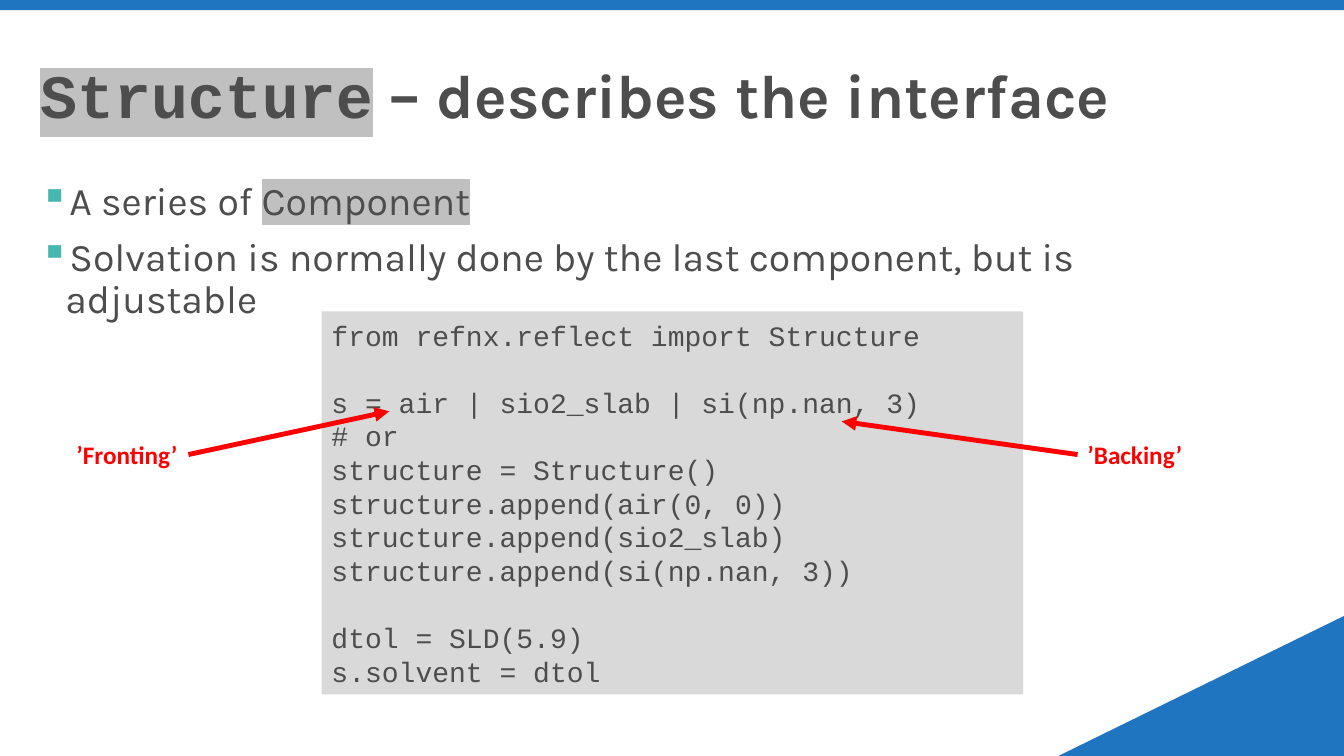
from dataclasses import dataclass

from lxml.etree import SubElement
from pptx import Presentation
from pptx.dml.color import RGBColor
from pptx.enum.shapes import MSO_CONNECTOR, MSO_SHAPE
from pptx.enum.text import MSO_ANCHOR, PP_ALIGN
from pptx.oxml.ns import qn
from pptx.util import Pt

COLORS = {
    "blue": "1F75C0",
    "teal": "47B7B1",
    "text": "4C4D4C",
    "mark": "C0C0C0",
    "code": "D9D9D9",
    "red": "FF0000",
}
SANS, MONO, LABEL = "Karla", "Courier New", "Calibri"
LINE = 24
CODE = """from refnx.reflect import Structure

s = air | sio2_slab | si(np.nan, 3)
# or
structure = Structure()
structure.append(air(0, 0))
structure.append(sio2_slab)
structure.append(si(np.nan, 3))

dtol = SLD(5.9)
s.solvent = dtol"""


@dataclass
class Box:
    left: float
    top: float
    width: float
    height: float

    def lengths(self) -> tuple:
        return Pt(self.left), Pt(self.top), Pt(self.width), Pt(self.height)


@dataclass
class Part:
    text: str
    font: str = ""
    marked: bool = False


@dataclass
class Note:
    text: str
    box: Box
    side: int
    tip: tuple[float, float]


NOTES = [
    Note("’Fronting’", Box(47.5, 310.3, 87.1, 28.8), 3, (278, 293.8)),
    Note("’Backing’", Box(769.7, 310.3, 82.8, 28.8), 1, (601.2, 301)),
]
POINTS = [
    [Part("A series of "), Part("Component", marked=True)],
    [Part("Solvation is normally done by the last component, but is adjustable")],
]


def color(name: str) -> RGBColor:
    return RGBColor.from_string(COLORS[name])


def style(para, size: float, tint: str, font: str = "", bold: bool = False) -> None:
    para.font.size = Pt(size)
    para.font.color.rgb = color(tint)
    para.font.bold = bold
    if font:
        para.font.name = font


def add_parts(para, parts: list[Part]) -> None:
    for part in parts:
        run = para.add_run()
        run.text = part.text
        if part.marked:
            mark = SubElement(run.font._element, qn("a:highlight"))
            SubElement(mark, qn("a:srgbClr"), val=COLORS["mark"])
        if part.font:
            run.font.name = part.font


def add_bullet(para) -> None:
    props = para._p.get_or_add_pPr()
    props.set("marL", str(Pt(18)))
    props.set("indent", str(-Pt(18)))
    tint = SubElement(props, qn("a:buClr"))
    SubElement(tint, qn("a:srgbClr"), val=COLORS["teal"])
    SubElement(props, qn("a:buChar"), char="▪")


def next_para(frame, first: bool):
    return frame.paragraphs[0] if first else frame.add_paragraph()


def add_shape(slide, kind: MSO_SHAPE, box: Box, fill: str):
    shape = slide.shapes.add_shape(kind, *box.lengths())
    shape.shadow.inherit = False
    shape.fill.solid()
    shape.fill.fore_color.rgb = color(fill)
    shape.line.fill.background()
    return shape


def add_title(slide) -> None:
    frame = slide.shapes.add_textbox(*Box(21.6, 8, 890, 90).lengths()).text_frame
    frame.word_wrap = True
    frame.vertical_anchor = MSO_ANCHOR.BOTTOM
    para = frame.paragraphs[0]
    para.line_spacing = 0.9
    add_parts(para, [Part("Structure", MONO, True),
                     Part(" – describes the interface", SANS)])
    style(para, 44, "text", bold=True)


def add_points(slide) -> None:
    frame = slide.shapes.add_textbox(*Box(21.6, 126, 890, 356.4).lengths()).text_frame
    frame.word_wrap = True
    for i, parts in enumerate(POINTS):
        para = next_para(frame, i == 0)
        add_bullet(para)
        para.line_spacing = 0.9
        if i:
            para.space_before = Pt(10)
        add_parts(para, parts)
        style(para, 28, "text", SANS)


def add_code(slide) -> None:
    """Draw the listing; an empty line becomes space before the next one."""
    box = Box(229.7, 222.5, 501.1, 273.6)
    frame = add_shape(slide, MSO_SHAPE.RECTANGLE, box, "code").text_frame
    frame.word_wrap = True
    frame.vertical_anchor = MSO_ANCHOR.MIDDLE
    first, gap = True, 0
    for line in CODE.splitlines():
        if not line:
            gap += LINE
            continue
        para = next_para(frame, first)
        para.text = line
        para.alignment = PP_ALIGN.LEFT
        para.line_spacing = Pt(LINE)
        if gap:
            para.space_before = Pt(gap)
        style(para, 20, "text", MONO)
        first, gap = False, 0


def add_note(slide, note: Note) -> None:
    """Draw a label and the arrow from its side to the code."""
    label = slide.shapes.add_textbox(*note.box.lengths())
    label.text_frame.word_wrap = False
    para = label.text_frame.paragraphs[0]
    para.text = note.text
    style(para, 18, "red", LABEL, True)

    x, y = map(Pt, note.tip)
    arrow = slide.shapes.add_connector(MSO_CONNECTOR.STRAIGHT, x, y, x, y)
    arrow.begin_connect(label, note.side)
    arrow.end_x, arrow.end_y = x, y
    arrow.line.color.rgb = color("red")
    arrow.line.width = Pt(3.5)
    SubElement(arrow.line._get_or_add_ln(), qn("a:tailEnd"), type="triangle")
    SubElement(arrow._element.spPr, qn("a:effectLst"))


def main() -> None:
    deck = Presentation()
    deck.slide_width, deck.slide_height = Pt(960), Pt(540)
    slide = deck.slides.add_slide(deck.slide_layouts[6])
    corner = add_shape(slide, MSO_SHAPE.RIGHT_TRIANGLE, Box(756, 440, 204, 100), "blue")
    corner._element.spPr.xfrm.set("flipH", "1")
    add_shape(slide, MSO_SHAPE.RECTANGLE, Box(0, 0, 960, 7.2), "blue")
    add_title(slide)
    add_points(slide)
    add_code(slide)
    for note in NOTES:
        add_note(slide, note)
    deck.save("out.pptx")


if __name__ == "__main__":
    main()
